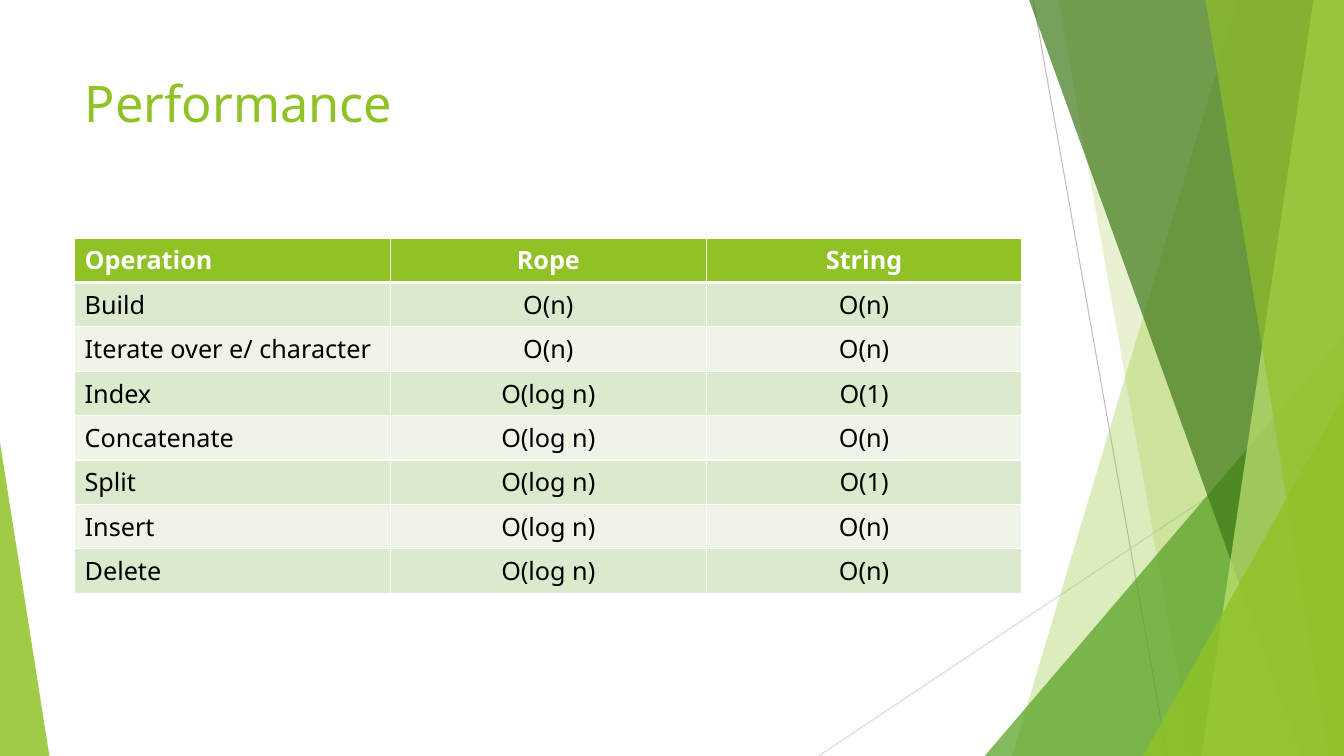
from dataclasses import dataclass

import lxml.etree
import pptx
import pptx.dml.color
import pptx.enum.shapes
import pptx.enum.text
import pptx.oxml
import pptx.oxml.ns
import pptx.presentation
import pptx.shapes.autoshape
import pptx.slide
import pptx.table
import pptx.text.text
import pptx.util

Pt = pptx.util.Pt
RGBColor = pptx.dml.color.RGBColor
qn = pptx.oxml.ns.qn

WIDTH = 960
HEIGHT = 540
FONT = "Noto Sans"
LIME = RGBColor(0x90, 0xC2, 0x26)
GREEN = RGBColor(0x54, 0xA0, 0x21)
FOREST = RGBColor(0x3F, 0x78, 0x19)
PALE_LIME = RGBColor(0xC0, 0xE4, 0x74)
GRAY = RGBColor(0xBF, 0xBF, 0xBF)
LIGHT_GRAY = RGBColor(0xD9, 0xD9, 0xD9)
BAND_DARK = RGBColor(0xDB, 0xE9, 0xCD)
BAND_LIGHT = RGBColor(0xEE, 0xF4, 0xE8)
WHITE = RGBColor(0xFF, 0xFF, 0xFF)
BLACK = RGBColor(0x00, 0x00, 0x00)


@dataclass
class Ray:
    start: tuple[float, float]
    end: tuple[float, float]
    color: RGBColor


@dataclass
class Band:
    top_left: float
    bottom_left: float
    color: RGBColor
    opacity: int


@dataclass
class Corner:
    left: float
    top: float
    width: float
    apex: float
    color: RGBColor
    opacity: int


RAYS = [
    Ray((738, 0), (833.8, HEIGHT), GRAY),
    Ray((WIDTH, 290.2), (584.6, HEIGHT), LIGHT_GRAY),
]
FACETS = [
    Band(884.2, 722.9, LIME, 30),
    Band(756, 851.8, LIME, 20),
    Corner(703.4, 239.8, 256.6, 1, GREEN, 72),
    Band(735.1, 929.5, FOREST, 70),
    Band(938.2, 858.2, PALE_LIME, 70),
    Band(861.1, 949, LIME, 65),
    Corner(816.5, 283, 143.5, 1, LIME, 80),
    Corner(0, 316.1, 35.3, 0, LIME, 85),
]
ROWS = [
    ("Operation", "Rope", "String"),
    ("Build", "O(n)", "O(n)"),
    ("Iterate over e/ character", "O(n)", "O(n)"),
    ("Index", "O(log n)", "O(1)"),
    ("Concatenate", "O(log n)", "O(n)"),
    ("Split", "O(log n)", "O(1)"),
    ("Insert", "O(log n)", "O(n)"),
    ("Delete", "O(log n)", "O(n)"),
]


def add_ray(slide: pptx.slide.Slide, ray: Ray) -> None:
    connector = slide.shapes.add_connector(
        pptx.enum.shapes.MSO_CONNECTOR.STRAIGHT,
        *(Pt(value) for value in ray.start + ray.end),
    )
    connector.line.color.rgb = ray.color
    connector.line.width = Pt(0.75)
    lxml.etree.SubElement(connector._element.spPr, qn("a:effectLst"))


def paint(shape: pptx.shapes.autoshape.Shape, color: RGBColor, opacity: int) -> None:
    shape.shadow.inherit = False
    shape.line.fill.background()
    shape.fill.solid()
    shape.fill.fore_color.rgb = color
    color_element = shape._element.spPr.find(qn("a:solidFill"))[0]
    lxml.etree.SubElement(color_element, qn("a:alpha"), val=str(opacity * 1000))


def add_band(slide: pptx.slide.Slide, band: Band) -> None:
    builder = slide.shapes.build_freeform(Pt(band.top_left), 0)
    corners = [(WIDTH, 0), (WIDTH, HEIGHT), (band.bottom_left, HEIGHT)]
    builder.add_line_segments([(Pt(x), Pt(y)) for x, y in corners])
    paint(builder.convert_to_shape(), band.color, band.opacity)


def add_corner(slide: pptx.slide.Slide, corner: Corner) -> None:
    shape = slide.shapes.add_shape(
        pptx.enum.shapes.MSO_SHAPE.ISOSCELES_TRIANGLE,
        Pt(corner.left),
        Pt(corner.top),
        Pt(corner.width),
        Pt(HEIGHT - corner.top),
    )
    shape.adjustments[0] = corner.apex
    paint(shape, corner.color, corner.opacity)


def add_run(
    paragraph: pptx.text.text._Paragraph,
    text: str,
    size: float,
    color: RGBColor,
    bold: bool = False,
) -> None:
    run = paragraph.add_run()
    run.text = text
    run.font.name = FONT
    run.font.size = Pt(size)
    run.font.bold = bold
    run.font.color.rgb = color


def add_title(slide: pptx.slide.Slide) -> None:
    title = slide.shapes.title
    title.left, title.top = Pt(53.3), Pt(48)
    title.width, title.height = Pt(676.8), Pt(104)
    title.text_frame.vertical_anchor = pptx.enum.text.MSO_ANCHOR.TOP
    paragraph = title.text_frame.paragraphs[0]
    paragraph.alignment = pptx.enum.text.PP_ALIGN.LEFT
    add_run(paragraph, "Performance", 36, LIME)


def set_borders(cell: pptx.table._Cell, top: float, bottom: float) -> None:
    properties = cell._tc.get_or_add_tcPr()
    widths = {"a:lnL": 1, "a:lnR": 1, "a:lnT": top, "a:lnB": bottom}
    for index, (tag, width) in enumerate(widths.items()):
        line = lxml.etree.Element(qn(tag), w=str(Pt(width)))
        fill = lxml.etree.SubElement(line, qn("a:solidFill"))
        lxml.etree.SubElement(fill, qn("a:srgbClr"), val=str(WHITE))
        properties.insert(index, line)


def add_performance_table(slide: pptx.slide.Slide) -> None:
    frame = slide.shapes.add_table(
        len(ROWS), len(ROWS[0]), Pt(53.3), Pt(170), Pt(676.8), Pt(233.6)
    )
    for row_index, row in enumerate(ROWS):
        header = row_index == 0
        band = BAND_DARK if row_index % 2 else BAND_LIGHT
        for column_index, text in enumerate(row):
            cell = frame.table.cell(row_index, column_index)
            cell.fill.solid()
            cell.fill.fore_color.rgb = LIME if header else band
            set_borders(cell, 3 if row_index == 1 else 1, 3 if header else 1)
            paragraph = cell.text_frame.paragraphs[0]
            if column_index:
                paragraph.alignment = pptx.enum.text.PP_ALIGN.CENTER
            add_run(paragraph, text, 18, WHITE if header else BLACK, header)


def main() -> None:
    presentation = pptx.Presentation()
    presentation.slide_width = Pt(WIDTH)
    presentation.slide_height = Pt(HEIGHT)
    slide = presentation.slides.add_slide(presentation.slide_layouts[5])
    for ray in RAYS:
        add_ray(slide, ray)
    for facet in FACETS:
        if isinstance(facet, Band):
            add_band(slide, facet)
        else:
            add_corner(slide, facet)
    add_title(slide)
    add_performance_table(slide)
    presentation.save("out.pptx")


if __name__ == "__main__":
    main()
